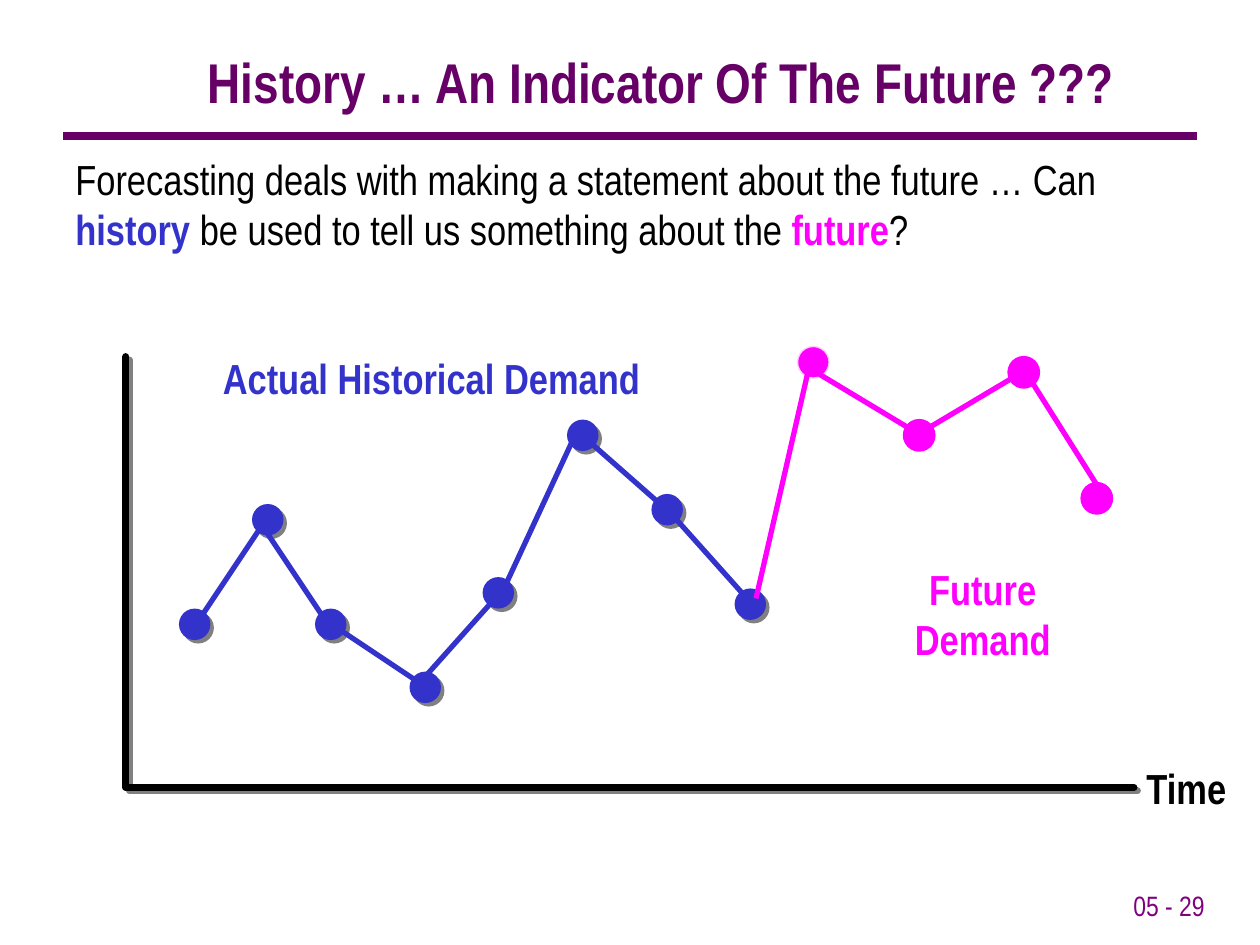
from lxml.etree import SubElement
from pptx import Presentation
from pptx.dml.color import RGBColor
from pptx.enum.shapes import MSO_CONNECTOR as CONN, MSO_SHAPE as SHAPE
from pptx.enum.text import MSO_AUTO_SIZE as FIT, PP_ALIGN as AL
from pptx.oxml.ns import qn
from pptx.util import Inches, Pt

rgb = RGBColor.from_string
PLUM, BLUE, PINK, BLACK = "660066", "3333CC", "FF00FF", "000000"


def cast(effects):
    sh = SubElement(effects, qn("a:outerShdw"), dist=str(Pt(2.8)), dir="2700000", algn="ctr", rotWithShape="0")
    SubElement(sh, qn("a:srgbClr"), val="808080")


def line(shapes, start, end, color, width):
    c = shapes.add_connector(CONN.STRAIGHT, *map(Inches, start + end))
    c.line.color.rgb = rgb(color)
    c.line.width = Pt(width)
    SubElement(c._element.spPr, qn("a:effectLst"))


prs = Presentation()
prs.slide_width, prs.slide_height = Inches(10), Inches(7.5)
s = prs.slides.add_slide(prs.slide_layouts[6])

line(s.shapes, (0.5, 1.08), (9.5, 1.08), PLUM, 4.5)
past = s.shapes.add_group_shape().shapes
future = s.shapes.add_group_shape().shapes

texts = [
    (s.shapes, (7.58, 7, 2.08, 0.5), AL.RIGHT, 16, True, False,
     [("05 - 29", "800080", False)]),
    (s.shapes, (1, 0.33, 8.5, 0.64), AL.CENTER, 32, True, False,
     [("History … An Indicator Of The Future ???", PLUM, True)]),
    (s.shapes, (0.5, 1.17, 9.08, 0.9), AL.LEFT, 24, True, False,
     [("Forecasting deals with making a statement about the future … Can ", BLACK, False),
      ("history", BLUE, True),
      (" be used to tell us something about the ", BLACK, False),
      ("future", PINK, True),
      ("?", BLACK, False)]),
    (s.shapes, (9, 6, 0.84, 0.5), AL.LEFT, 24, False, True,
     [("Time", BLACK, True)]),
    (past, (1.67, 2.75, 3.51, 0.5), AL.LEFT, 24, False, True,
     [("Actual Historical Demand", BLUE, True)]),
    (future, (6.7, 4.42, 2.2, 0.5), AL.CENTER, 24, False, True,
     [("Future Demand", PINK, True)]),
]
for shapes, box, align, size, wrap, shadow, runs in texts:
    tf = shapes.add_textbox(*map(Inches, box)).text_frame
    tf.word_wrap = wrap
    tf.auto_size = FIT.SHAPE_TO_FIT_TEXT
    p = tf.paragraphs[0]
    p.alignment = align
    for wording, color, bold in runs:
        r = p.add_run()
        r.text = wording
        r.font.size = Pt(size)
        r.font.bold = bold
        r.font.color.rgb = rgb(color)
        if shadow:
            cast(SubElement(r.font._element, qn("a:effectLst")))
        r.font.name = "Arial Narrow"

fb = s.shapes.build_freeform(Inches(1), Inches(2.83))
fb.add_line_segments([(Inches(1), Inches(6.25)), (Inches(9), Inches(6.25))], close=False)
axes = fb.convert_to_shape()
axes.fill.background()
axes.line.color.rgb = rgb(BLACK)
axes.line.width = Pt(4)
ln = axes._element.spPr.find(qn("a:ln"))
ln.set("cap", "rnd")
SubElement(ln, qn("a:round"))
axes.shadow.inherit = False
cast(axes._element.spPr.find(qn("a:effectLst")))

past_dots = [(1.42, 4.83), (2, 4), (2.5, 4.83), (3.25, 5.33),
             (3.83, 4.58), (4.5, 3.33), (5.17, 3.92), (5.83, 4.67)]
future_dots = [(6.33, 2.75), (7.17, 3.33), (8, 2.83), (8.58, 3.83)]
past_path = [(1.58, 4.92), (2.08, 4.17), (2.58, 4.92), (3.33, 5.42),
             (4, 4.67), (4.58, 3.42), (5.33, 4.08), (6, 4.83)]
future_lines = [((6, 4.75), (6.42, 2.92)), ((6.42, 2.92), (7.25, 3.42)),
                ((7.33, 3.42), (8.17, 2.92)), ((8.17, 3), (8.75, 3.92))]

series = [(past, past_dots, zip(past_path, past_path[1:]), BLUE),
          (future, future_dots, future_lines, PINK)]
for shapes, dots, lines, color in series:
    for x, y in dots:
        sp = shapes.add_shape(SHAPE.OVAL, Inches(x), Inches(y), Inches(0.25), Inches(0.25))
        sp.fill.solid()
        sp.fill.fore_color.rgb = rgb(color)
        sp.shadow.inherit = False
        if shapes is past:
            sp.line.fill.background()
            cast(sp._element.spPr.find(qn("a:effectLst")))
        else:
            sp.line.color.rgb = rgb("FFCCFF" if (x, y) == dots[0] else color)
            sp.line.width = Pt(0.75)
    for start, end in lines:
        line(shapes, start, end, color, 3)

prs.save("out.pptx")
